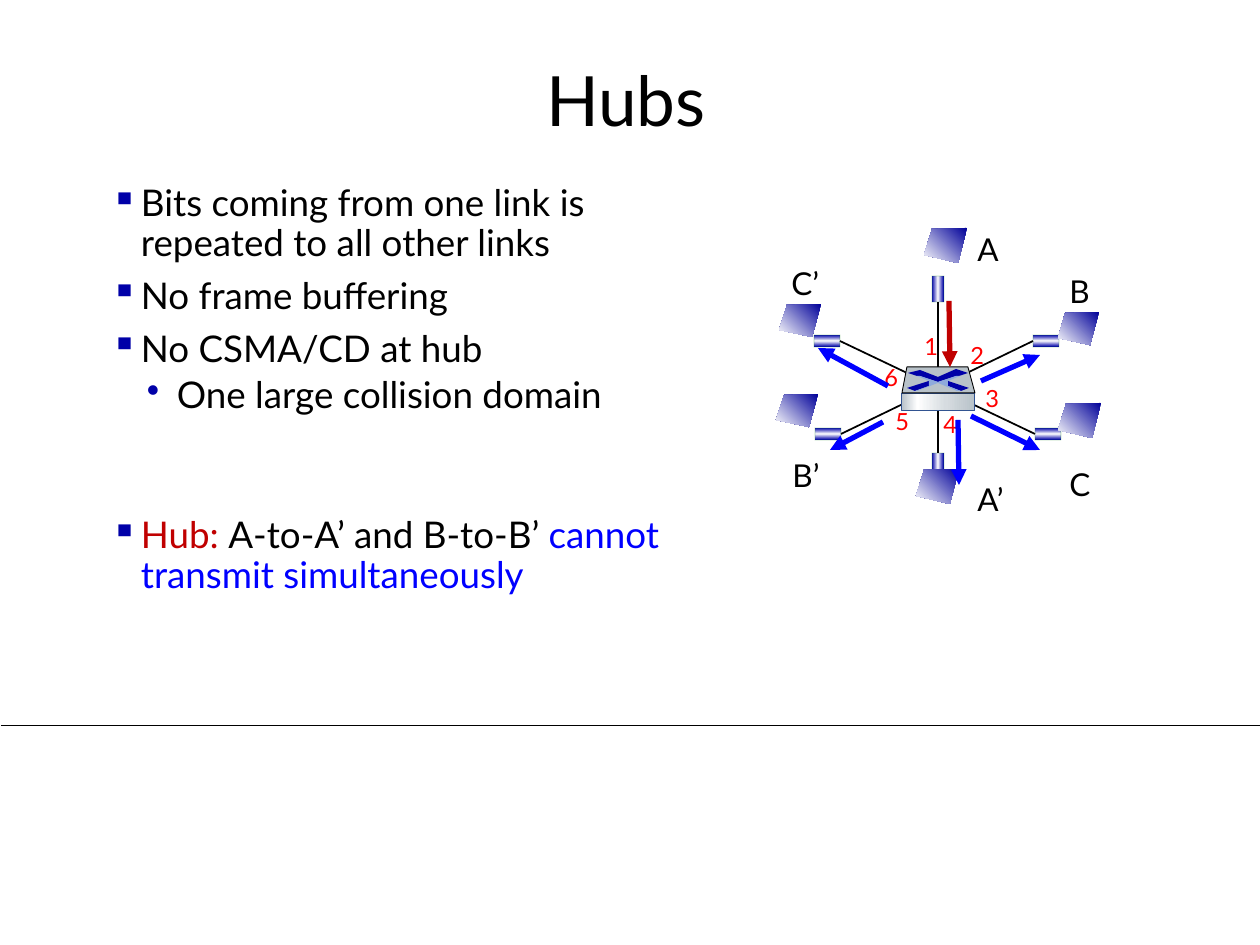
from lxml import etree
from pptx import Presentation
from pptx import util as u
from pptx.dml.color import RGBColor
from pptx.enum import shapes, text
from pptx.oxml.ns import qn

PX = u.Inches(1) / 126
FONT = "Lato"
BLACK = RGBColor(0, 0, 0)
WHITE = RGBColor(255, 255, 255)
RED = RGBColor(255, 0, 0)
DARK_RED = RGBColor(0xC0, 0, 0)
BLUE = RGBColor(0, 0, 255)
NAVY = RGBColor(0, 0, 0xA8)
SCREEN_BLUE = RGBColor(0, 0, 0x99)
LIGHT_BLUE = RGBColor(0x8F, 0xAA, 0xDC)
GREEN = RGBColor(0, 0x80, 0)
STEEL = RGBColor(0xB8, 0xC2, 0xC9)
PALE_STEEL = RGBColor(0xD6, 0xDC, 0xE0)
HUB_EDGE = RGBColor(0x32, 0x54, 0x91)

TOP, LEFT, BOTTOM, RIGHT = range(4)
NIC_LONG, NIC_SHORT = 26, 12
SCREEN_OUTLINE = [(1, 0), (0.18, 0.04), (0, 0.78), (0.79, 1)]

# host: (label box, screen box, network card centre, card is upright)
HOSTS = {
    "A": ((965, 224, 48, 50), (924, 228, 43, 35), (938, 289), True),
    "A’": ((965, 474, 55, 50), (916, 469, 43, 35), (938, 466), True),
    "B": ((1057, 266, 45, 50), (1058, 312, 41, 33), (1046, 341), False),
    "B’": ((780, 450, 54, 50), (776, 394, 42, 33), (828, 434), False),
    "C": ((1057, 459, 48, 50), (1058, 403, 43, 35), (1048, 434), False),
    "C’": ((779, 258, 55, 50), (779, 304, 42, 33), (827, 341), False),
}
LINKS = [("A", BOTTOM, "A’", TOP), ("C’", RIGHT, "C", LEFT), ("B’", RIGHT, "B", LEFT)]
PORTS = [(912, 326, 39), (958, 335, 39), (973, 378, 39),
         (931, 404, 39), (883, 401, 39), (872, 357, 33)]
SIGNALS = [
    ((949, 301), (950, 367), DARK_RED),
    ((981, 381), (1040, 355), BLUE),
    ((958, 420), (959, 485), BLUE),
    ((883, 422), (830, 450), BLUE),
    ((971, 416), (1040, 450), BLUE),
    ((888, 386), (818, 348), BLUE),
]
HUB_TOP = [(902, 393), (907, 367), (968, 367), (975, 393)]
HUB_CROSS = [
    ([(956, 369), (968, 373), (959, 376), (956, 376), (938, 382), (920, 376),
      (917, 376), (908, 373), (920, 370), (938, 377)], NAVY),
    ([(948, 381), (969, 388), (961, 391), (948, 386)], NAVY),
    ([(929, 381), (929, 386), (915, 391), (907, 388)], NAVY),
    ([(917, 376), (920, 376), (938, 382), (956, 376), (960, 376), (948, 381),
      (948, 386), (961, 391), (957, 391), (938, 383), (917, 391), (915, 391),
      (929, 386), (929, 381)], LIGHT_BLUE),
]
# (bullet level, runs)
BEHAVIOUR = [
    (0, [("Bits coming from one link is repeated to all other links", BLACK)]),
    (0, [("No frame buffering", BLACK)]),
    (0, [("No CSMA/CD at hub", BLACK)]),
    (1, [("One large collision domain", BLACK)]),
]
CONSEQUENCE = [
    (0, [("Hub: ", DARK_RED), ("A-to-A’ and B-to-B’ ", BLACK),
         ("cannot transmit simultaneously", BLUE)]),
]
# (character, left margin in px, space before in points) by level
BULLETS = [("▪", 36, 7.5), ("•", 72, 3.8)]


def px(*lengths):
    return [round(length * PX) for length in lengths]


def add_run(paragraph, words, size, color):
    run = paragraph.add_run()
    run.text = words
    run.font.name = FONT
    run.font.size = u.Pt(size)
    run.font.color.rgb = color


def add_label(slide, box, words, size, color):
    frame = slide.shapes.add_textbox(*px(*box)).text_frame
    frame.word_wrap = False
    add_run(frame.paragraphs[0], words, size, color)


def add_bullets(slide, box, items):
    frame = slide.shapes.add_textbox(*px(*box)).text_frame
    frame.word_wrap = True
    frame.margin_left, frame.margin_top, frame.margin_right, frame.margin_bottom = px(9, 5, 9, 5)
    for i, (level, runs) in enumerate(items):
        paragraph = frame.add_paragraph() if i else frame.paragraphs[0]
        mark, margin, space = BULLETS[level]
        paragraph.level = level
        properties = paragraph._p.get_or_add_pPr()
        properties.set("marL", str(px(margin)[0]))
        properties.set("indent", str(px(-30)[0]))
        mark_color = etree.SubElement(properties, qn("a:buClr"))
        etree.SubElement(mark_color, qn("a:srgbClr"), val=str(NAVY))
        etree.SubElement(properties, qn("a:buChar"), char=mark)
        paragraph.line_spacing = 0.9
        if i:
            paragraph.space_before = u.Pt(space)
        for words, color in runs:
            add_run(paragraph, words, 21, color)


def fill_gradient(shape, stops, angle):
    """Fill with (percent, color) stops; the angle is in clockwise degrees."""
    shape.fill.gradient()
    shape.fill.gradient_angle = -angle % 360
    stop_list = shape._element.spPr.find(qn("a:gradFill")).find(qn("a:gsLst"))
    for stop in list(stop_list):
        stop_list.remove(stop)
    for percent, color in stops:
        stop = etree.SubElement(stop_list, qn("a:gs"), pos=str(percent * 1000))
        etree.SubElement(stop, qn("a:srgbClr"), val=str(color))


def outline(shape, color, width):
    shape.line.color.rgb = color
    shape.line.width = u.Pt(width)


def add_polygon(slide, points):
    builder = slide.shapes.build_freeform(*points[0], scale=PX)
    builder.add_line_segments(points[1:], close=True)
    polygon = builder.convert_to_shape()
    polygon.shadow.inherit = False
    polygon.line.fill.background()
    return polygon


def add_rectangle(slide, box):
    rectangle = slide.shapes.add_shape(shapes.MSO_SHAPE.RECTANGLE, *px(*box))
    rectangle.shadow.inherit = False
    return rectangle


def add_line(slide, start, end, color, width, arrow=False):
    line = slide.shapes.add_connector(shapes.MSO_CONNECTOR.STRAIGHT, *px(*start, *end))
    outline(line, color, width)
    if arrow:
        etree.SubElement(line.line._get_or_add_ln(), qn("a:tailEnd"), type="triangle")
    etree.SubElement(line._element.spPr, qn("a:effectLst"))
    return line


def add_network_card(slide, center, upright):
    width, height = (NIC_SHORT, NIC_LONG) if upright else (NIC_LONG, NIC_SHORT)
    x, y = center
    card = add_rectangle(slide, (x - width // 2, y - height // 2, width, height))
    fill_gradient(card, [(0, NAVY), (50, WHITE), (99, NAVY)], 0 if upright else 90)
    outline(card, GREEN, 0.75)
    edge_color = card.line._get_or_add_ln().find(".//" + qn("a:srgbClr"))
    etree.SubElement(edge_color, qn("a:alpha"), val="15000")
    return card


def add_screen(slide, box):
    left, top, width, height = box
    screen = add_polygon(slide, [(round(left + x * width), round(top + y * height))
                                 for x, y in SCREEN_OUTLINE])
    fill_gradient(screen, [(0, SCREEN_BLUE), (100, WHITE)], 135)


def add_hub(slide):
    front = add_rectangle(slide, (902, 393, 73, 18))
    fill_gradient(front, [(0, STEEL), (21, WHITE), (60, PALE_STEEL), (100, STEEL)], 0)
    outline(front, HUB_EDGE, 0.5)
    lid = add_polygon(slide, HUB_TOP)
    lid.fill.solid()
    lid.fill.fore_color.rgb = STEEL
    outline(lid, BLACK, 0.5)
    for points, color in HUB_CROSS:
        band = add_polygon(slide, points)
        band.fill.solid()
        band.fill.fore_color.rgb = color


def add_network(slide):
    cards = {}
    for host, (label_box, screen_box, center, upright) in HOSTS.items():
        add_label(slide, label_box, host, 18, BLACK)
        cards[host] = add_network_card(slide, center, upright)
        add_screen(slide, screen_box)
    for source, source_side, target, target_side in LINKS:
        link = add_line(slide, HOSTS[source][2], HOSTS[target][2], BLACK, 1)
        link.begin_connect(cards[source], source_side)
        link.end_connect(cards[target], target_side)
    for number, (left, top, width) in enumerate(PORTS, 1):
        add_label(slide, (left, top, width, 42), str(number), 13.5, RED)
    add_hub(slide)
    for start, end, color in SIGNALS:
        add_line(slide, start, end, color, 3, arrow=True)


def set_title(slide, words):
    title = slide.shapes.title
    title.left, title.top, title.width, title.height = px(83, 58, 1086, 92)
    title.text_frame.vertical_anchor = text.MSO_ANCHOR.MIDDLE
    paragraph = title.text_frame.paragraphs[0]
    paragraph.alignment = text.PP_ALIGN.CENTER
    paragraph.line_spacing = 0.9
    add_run(paragraph, words, 39.6, BLACK)


def main():
    deck = Presentation()
    deck.slide_width, deck.slide_height = px(1260, 945)
    slide = deck.slides.add_slide(deck.slide_layouts[5])
    add_line(slide, (1, 725), (1260, 725), BLACK, 0.5)
    set_title(slide, "Hubs")
    add_bullets(slide, (96, 180, 605, 355), BEHAVIOUR)
    add_bullets(slide, (96, 512, 694, 154), CONSEQUENCE)
    add_network(slide)
    deck.save("out.pptx")


if __name__ == "__main__":
    main()
